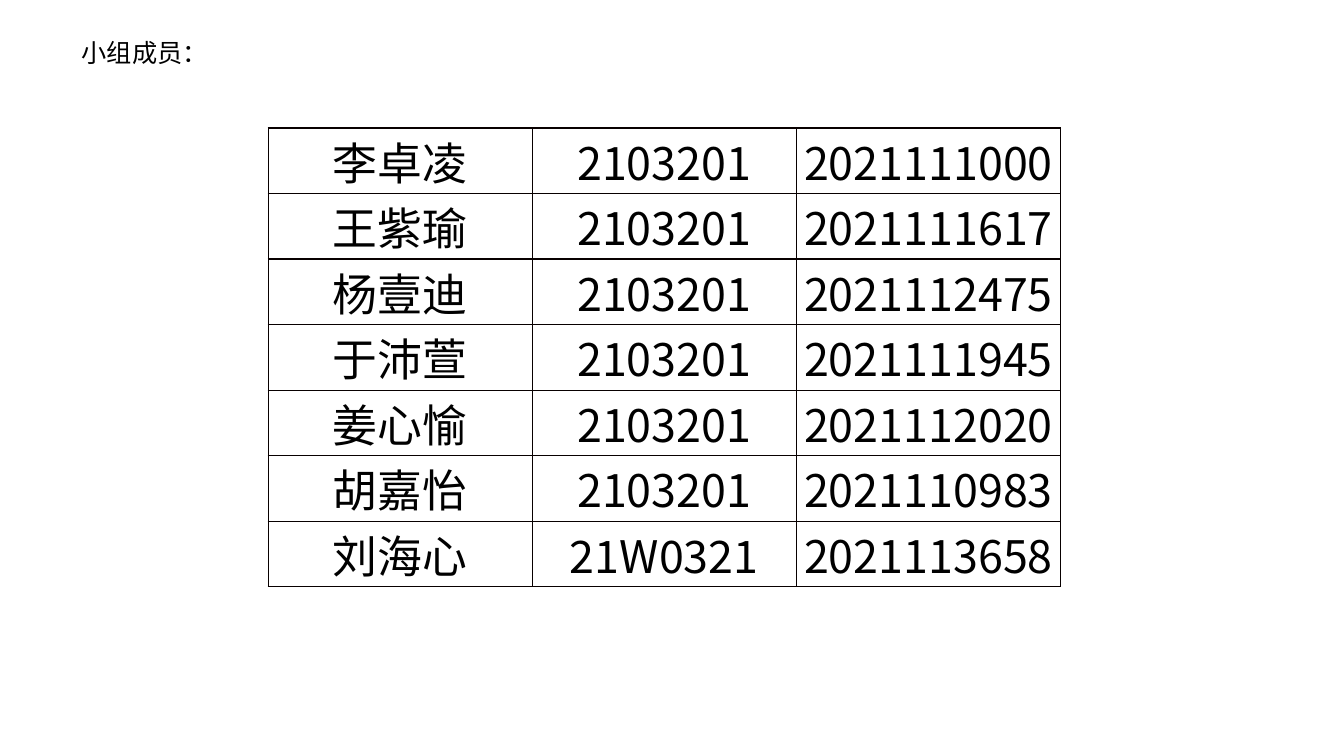
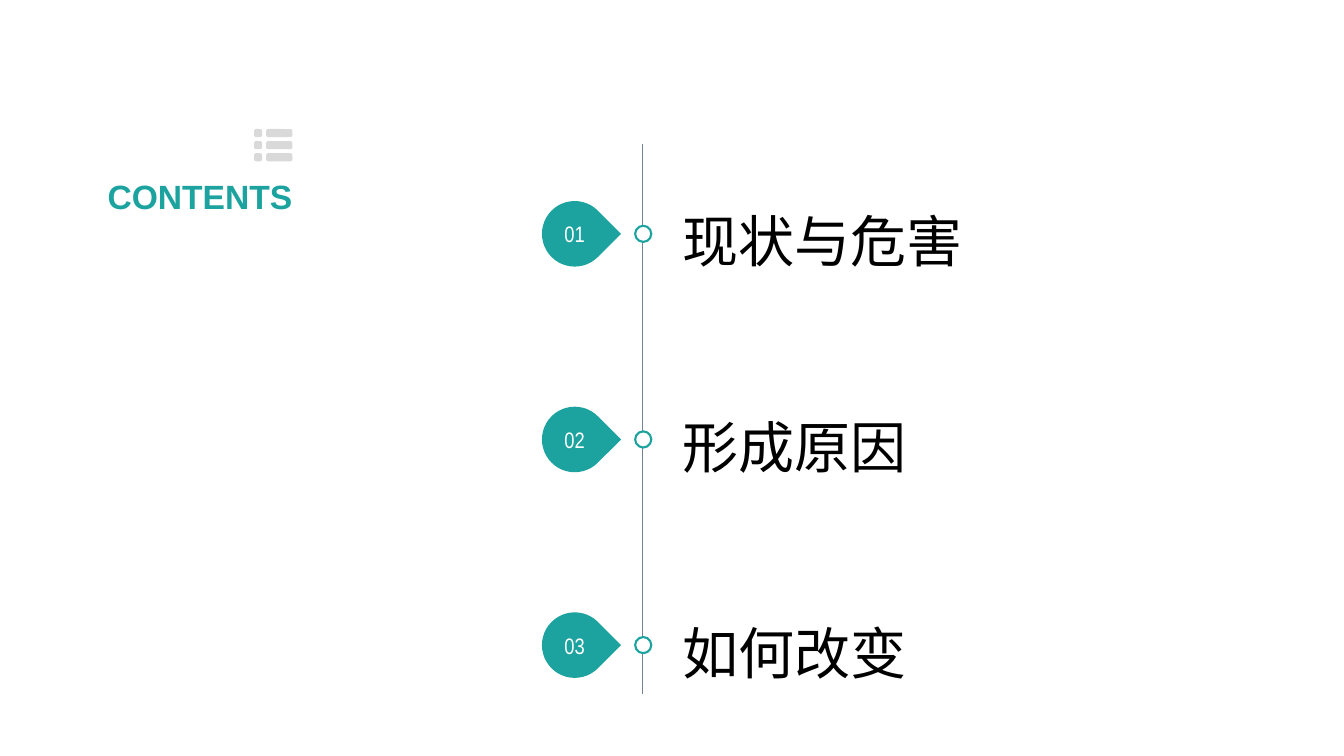
from lxml.etree import SubElement
from pptx import Presentation
from pptx.dml.color import RGBColor
from pptx.enum.shapes import MSO_CONNECTOR, MSO_SHAPE
from pptx.enum.text import MSO_ANCHOR, MSO_AUTO_SIZE, PP_ALIGN
from pptx.oxml.ns import qn
from pptx.util import Inches, Pt

COLORS = {"teal": "1CA39F", "icon": "D9D9D9", "axis": "768394",
          "border": "080000", "text": "000000", "white": "FFFFFF"}
LATIN, NARROW, CHINESE = "Arial", "Arial Narrow", "Noto Sans CJK SC"

MEMBERS_TITLE = "小组成员："
MEMBERS = [
    ("李卓凌", "2103201", "2021111000"),
    ("王紫瑜", "2103201", "2021111617"),
    ("杨壹迪", "2103201", "2021112475"),
    ("于沛萱", "2103201", "2021111945"),
    ("姜心愉", "2103201", "2021112020"),
    ("胡嘉怡", "2103201", "2021110983"),
    ("刘海心", "21W0321", "2021113658"),
]
CONTENTS_TITLE = "CONTENTS"
CHAPTERS = ["现状与危害", "形成原因", "如何改变"]

# Member table, in inches
TABLE_LEFT, TABLE_TOP = 2.66, 1.27
COLUMN_WIDTH, ROW_HEIGHT = 2.62, 0.65

# Contents timeline, in inches
AXIS_X, AXIS_TOP, AXIS_BOTTOM = 6.37, 1.43, 6.89
FIRST_CHAPTER_Y, CHAPTER_PITCH = 2.32, 2.04
DROP_X, DROP_SIZE, NUMBER_SIZE, DOT_SIZE = 5.7, 0.65, 0.63, 0.16
LABEL_X, LABEL_WIDTH, LABEL_HEIGHT = 6.67, 5.93, 0.47

# List icon: columns as (left, width), rows at an equal pitch
ICON_COLUMNS = [(2.52, 0.08), (2.64, 0.26)]
ICON_TOP, ICON_PITCH, ICON_BAR = 1.28, 0.12, 0.08
ICON_RADIUS = 0.02


def rgb(name):
    return RGBColor.from_string(COLORS[name])


def box(*lengths):
    return [Inches(length) for length in lengths]


def write(frame, text, size, font=LATIN, color="text", align=PP_ALIGN.LEFT, bold=False):
    """Put one formatted run into the frame's first paragraph and return the paragraph."""
    paragraph = frame.paragraphs[0]
    paragraph.alignment = align
    run = paragraph.add_run()
    run.text = text
    run.font.size, run.font.name, run.font.bold = Pt(size), font, bold
    run.font.color.rgb = rgb(color)
    SubElement(run.font._element, qn("a:ea"), typeface=CHINESE)
    return paragraph


def add_titled_slide(deck, title, place, anchor, **style):
    slide = deck.slides.add_slide(deck.slide_layouts[5])
    holder = slide.shapes.title
    holder.left, holder.top, holder.width, holder.height = box(*place)
    frame = holder.text_frame
    frame.auto_size, frame.word_wrap = MSO_AUTO_SIZE.NONE, True
    frame.vertical_anchor = anchor
    write(frame, title, **style)
    return slide


def add_plain_shape(slide, kind, place, fill=None, line=None):
    shape = slide.shapes.add_shape(kind, *box(*place))
    shape.shadow.inherit = False
    if fill:
        shape.fill.solid()
        shape.fill.fore_color.rgb = rgb(fill)
    else:
        shape.fill.background()
    if line:
        shape.line.color.rgb, shape.line.width = rgb(line), Pt(1.5)
    else:
        shape.line.fill.background()
    return shape


def centred(x, y, size):
    return x - size / 2, y - size / 2, size, size


def outline(cell):
    properties = cell._tc.get_or_add_tcPr()
    for position, side in enumerate(("a:lnL", "a:lnR", "a:lnT", "a:lnB")):
        edge = properties.makeelement(qn(side), {"w": str(Pt(1))})
        SubElement(SubElement(edge, qn("a:solidFill")), qn("a:srgbClr"), val=COLORS["border"])
        properties.insert(position, edge)


def add_member_table(slide):
    rows, columns = len(MEMBERS), len(MEMBERS[0])
    table = slide.shapes.add_table(rows, columns, *box(
        TABLE_LEFT, TABLE_TOP, columns * COLUMN_WIDTH, rows * ROW_HEIGHT)).table
    table.first_row = table.horz_banding = False
    for column in table.columns:
        column.width = Inches(COLUMN_WIDTH)
    for row, member in zip(table.rows, MEMBERS):
        row.height = Inches(ROW_HEIGHT)
        for cell, value in zip(row.cells, member):
            cell.margin_left = cell.margin_right = Inches(0.07)
            cell.margin_top = cell.margin_bottom = 0
            cell.fill.background()
            outline(cell)
            write(cell.text_frame, value, 32, CHINESE, align=PP_ALIGN.CENTER)


def add_list_icon(slide):
    for row in range(3):
        for left, width in ICON_COLUMNS:
            bar = add_plain_shape(
                slide, MSO_SHAPE.ROUNDED_RECTANGLE,
                (left, ICON_TOP + row * ICON_PITCH, width, ICON_BAR), "icon")
            bar.adjustments[0] = ICON_RADIUS / ICON_BAR


def add_axis(slide):
    axis = slide.shapes.add_connector(
        MSO_CONNECTOR.STRAIGHT, *box(AXIS_X, AXIS_TOP, AXIS_X, AXIS_BOTTOM))
    axis.line.color.rgb, axis.line.width = rgb("axis"), Pt(0.5)
    SubElement(axis._element.spPr, qn("a:effectLst"))


def add_chapter(slide, number, name):
    y = FIRST_CHAPTER_Y + (number - 1) * CHAPTER_PITCH
    add_plain_shape(slide, MSO_SHAPE.OVAL, centred(AXIS_X + 0.01, y, DOT_SIZE), "white", "teal")
    drop = add_plain_shape(slide, MSO_SHAPE.TEAR, centred(DROP_X, y, DROP_SIZE), "teal")
    drop.rotation = 45

    badge = add_plain_shape(slide, MSO_SHAPE.OVAL, centred(DROP_X, y, NUMBER_SIZE)).text_frame
    badge.word_wrap, badge.vertical_anchor = False, MSO_ANCHOR.MIDDLE
    write(badge, f"{number:02}", 16, NARROW, "white", PP_ALIGN.CENTER)

    label = slide.shapes.add_textbox(
        *box(LABEL_X, y - LABEL_HEIGHT / 2, LABEL_WIDTH, LABEL_HEIGHT)).text_frame
    label.word_wrap, label.vertical_anchor = True, MSO_ANCHOR.MIDDLE
    write(label, name, 40).line_spacing = 1.2


def main():
    deck = Presentation()
    deck.slide_width, deck.slide_height = box(13.33, 7.5)

    members = add_titled_slide(deck, MEMBERS_TITLE, (0.71, 0.32, 2.08, 0.4),
                               MSO_ANCHOR.TOP, size=18)
    add_member_table(members)

    contents = add_titled_slide(deck, CONTENTS_TITLE, (0.73, 1.77, 2.27, 0.35),
                                MSO_ANCHOR.MIDDLE, size=24, color="teal",
                                align=PP_ALIGN.RIGHT, bold=True)
    add_list_icon(contents)
    add_axis(contents)
    for number, name in enumerate(CHAPTERS, 1):
        add_chapter(contents, number, name)

    deck.save("out.pptx")


if __name__ == "__main__":
    main()
